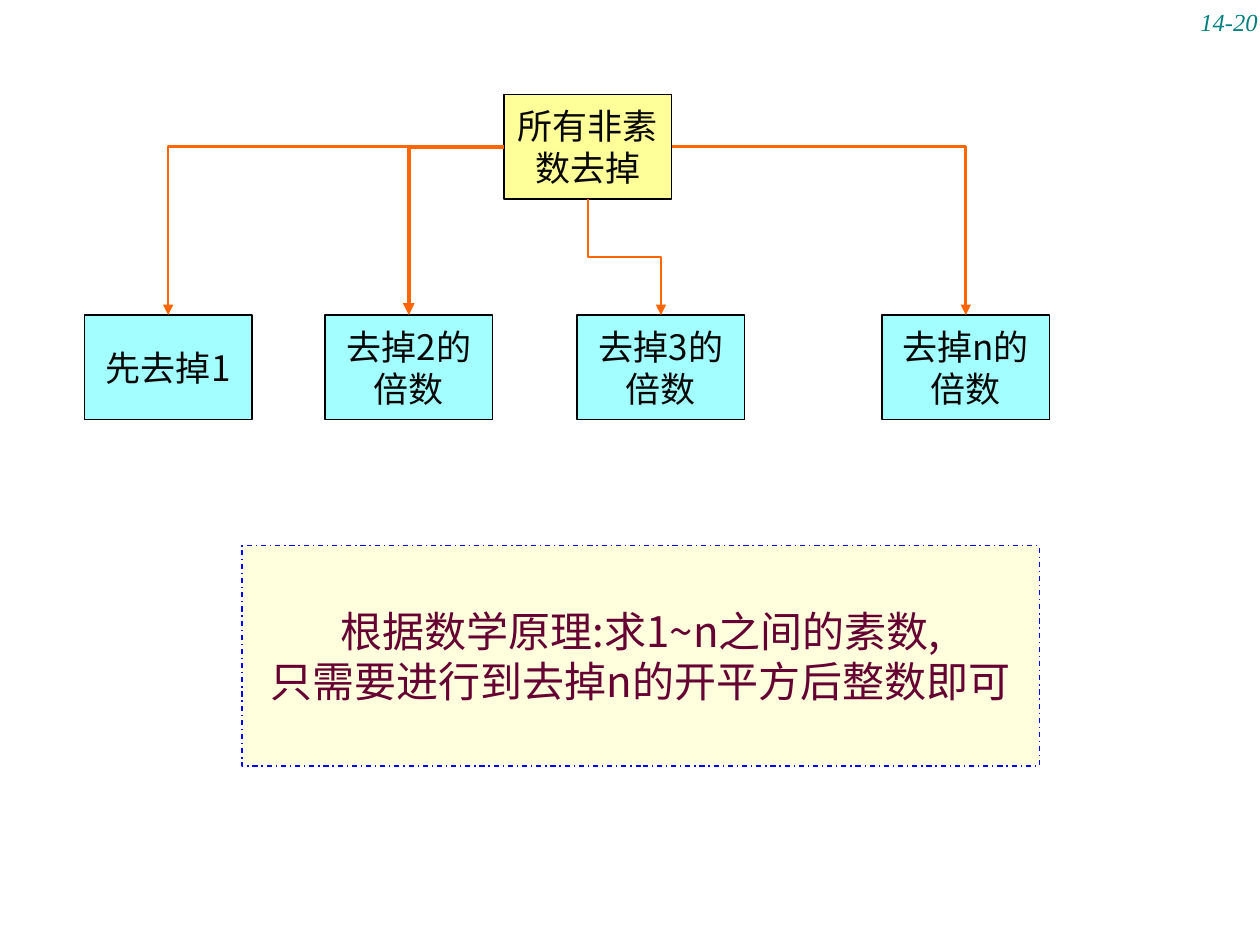
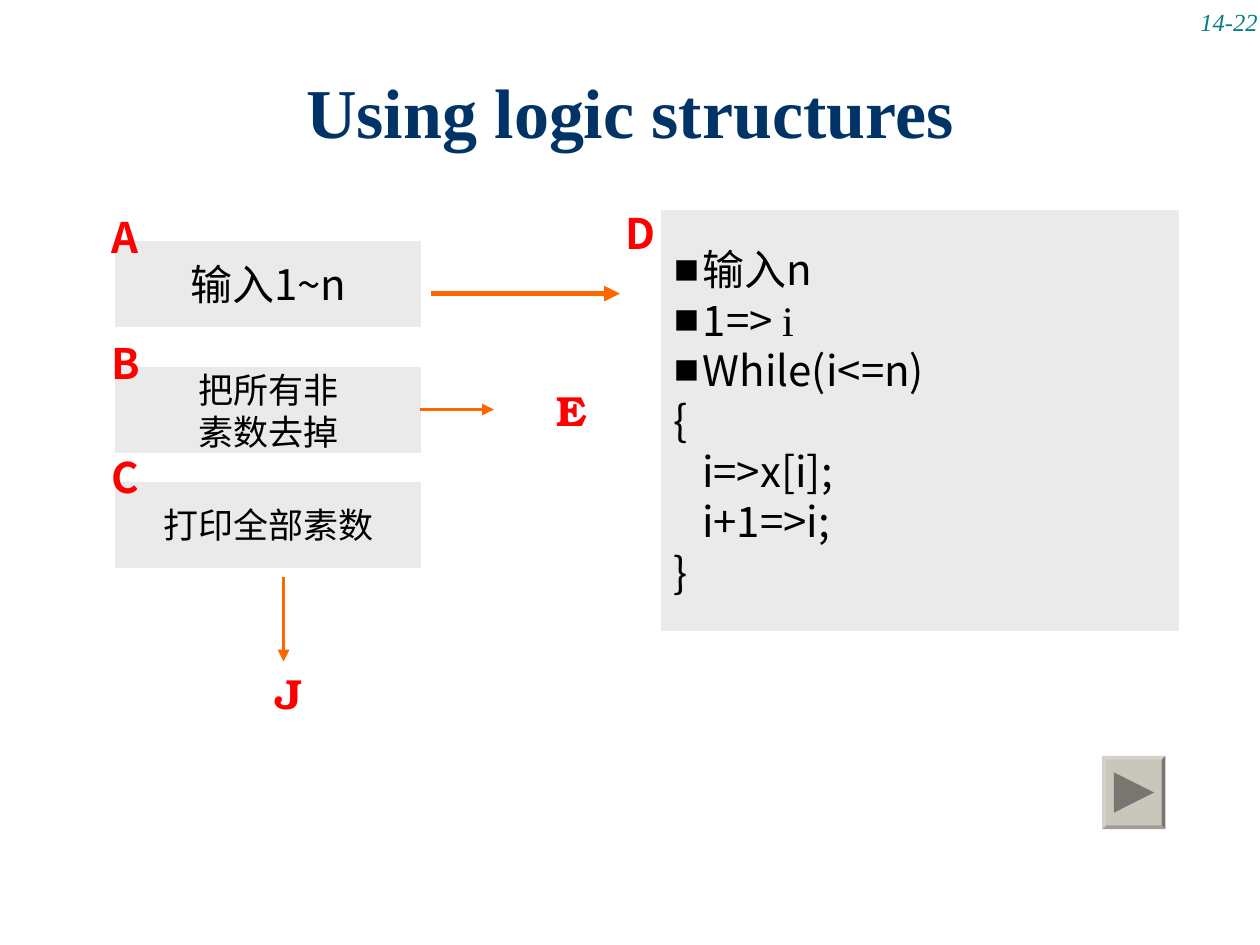
import pptx
import pptx.util
import pptx.dml.color
import pptx.enum.dml
import pptx.enum.shapes
import pptx.enum.text
import pptx.oxml
import pptx.oxml.ns
from lxml import etree

Inches = pptx.util.Inches
Pt = pptx.util.Pt
qn = pptx.oxml.ns.qn
ALIGN = pptx.enum.text.PP_ALIGN
ANCHOR = pptx.enum.text.MSO_ANCHOR
CONNECTOR = pptx.enum.shapes.MSO_CONNECTOR

COLORS = {
    "page": "008080", "title": "003366", "ink": "080808", "black": "000000",
    "root": "FFFF99", "branch": "A3FFFF", "arrow": "FF6600", "label": "FF0000",
    "note": "FFFFDD", "note_edge": "0000FF", "note_ink": "660033", "panel": "EAEAEA",
    "face": "C9C6BB", "light": "D4D1C9", "shade": "A19E96", "dark": "787670",
}
SANS, LABEL, SERIF, BOOK = (
    "Noto Sans CJK SC", "Noto Sans CJK JP", "Times New Roman", "TeX Gyre Bonum")


def rgb(name):
    return pptx.dml.color.RGBColor.from_string(COLORS[name])


def style_font(font, size, color, name, bold=False, italic=False):
    font.size = Pt(size)
    font.bold = bold
    font.italic = italic
    font.color.rgb = rgb(color)
    font.name = name


def style_paragraph(paragraph, size, color, name, align=ALIGN.CENTER, **emphasis):
    paragraph.alignment = align
    style_font(paragraph.font, size, color, name, **emphasis)
    defaults = paragraph._p.pPr.find(qn("a:defRPr"))
    etree.SubElement(defaults, qn("a:ea")).set("typeface", name)


def write(frame, text, size, color, name, align=ALIGN.CENTER, anchor=ANCHOR.MIDDLE,
          wrap=False, **emphasis):
    frame.word_wrap = wrap
    frame.vertical_anchor = anchor
    lines = text.split("\n")
    for index, line in enumerate(lines):
        paragraph = frame.paragraphs[0] if index == 0 else frame.add_paragraph()
        paragraph.add_run().text = line
        if len(lines) > 1:
            paragraph.line_spacing = Pt(size * 1.2)
        style_paragraph(paragraph, size, color, name, align, **emphasis)


def add_text(slide, box, *args, **options):
    text_box = slide.shapes.add_textbox(*map(Inches, box))
    write(text_box.text_frame, *args, **options)


def add_box(slide, box, fill, edge):
    shape = slide.shapes.add_shape(
        pptx.enum.shapes.MSO_SHAPE.RECTANGLE, *map(Inches, box))
    shape.shadow.inherit = False
    shape.fill.solid()
    shape.fill.fore_color.rgb = rgb(fill)
    shape.line.color.rgb = rgb(edge)
    shape.line.width = Pt(0.75)
    return shape


def add_arrow(slide, kind, start, end, width):
    arrow = slide.shapes.add_connector(kind, *start, *end)
    arrow.line.color.rgb = rgb("arrow")
    arrow.line.width = Pt(width)
    line = arrow.line._get_or_add_ln()
    etree.SubElement(line, qn("a:tailEnd")).set("type", "triangle")
    etree.SubElement(arrow._element.spPr, qn("a:effectLst"))
    return arrow


def add_straight_arrow(slide, start, end, width):
    add_arrow(slide, CONNECTOR.STRAIGHT, tuple(map(Inches, start)),
              tuple(map(Inches, end)), width)


def add_branch_arrow(slide, root, site, branch, width):
    middle = root.left + root.width // 2
    start = {
        1: (root.left, root.top + root.height // 2),
        2: (middle, root.top + root.height),
        3: (root.left + root.width, root.top + root.height // 2),
    }[site]
    end = (branch.left + branch.width // 2, branch.top)
    arrow = add_arrow(slide, CONNECTOR.ELBOW, start, end, width)
    arrow.begin_connect(root, site)
    arrow.end_connect(branch, 0)
    properties = arrow._element.spPr
    if site == 2:
        across, down = end[0] - start[0], end[1] - start[1]
        arrow.left = (start[0] + end[0] - down) // 2
        arrow.top = (start[1] + end[1] - across) // 2
        arrow.width, arrow.height = down, across
        transform = properties.find(qn("a:xfrm"))
        transform.set("rot", "16200000")
        transform.set("flipH", "1")
    else:
        properties.find(qn("a:prstGeom")).set("prst", "bentConnector2")


def add_page_number(slide, number):
    add_text(slide, (9.08, -0.08, 1, 0.42), number, 14, "page", SERIF,
             align=ALIGN.RIGHT, anchor=ANCHOR.BOTTOM, wrap=True, italic=True)


def add_title(slide, text):
    title = slide.shapes.title
    title.left, title.top, title.width, title.height = map(Inches, (0.5, 0.25, 9, 1.25))
    write(title.text_frame, text, 40, "title", SERIF, wrap=True, bold=True)


def add_sieve_tree(slide, left, top):
    size = (1.33, 0.83)
    root = add_box(slide, (left + 3.33, top, *size), "root", "black")
    write(root.text_frame, "所有非素\n数去掉", 20, "ink", SANS)
    branches = [
        (0, "先去掉1", 1, 1.5),
        (1.91, "去掉2的\n倍数", 1, 2.25),
        (3.91, "去掉3的\n倍数", 2, 1.5),
        (6.33, "去掉n的\n倍数", 3, 1.5),
    ]
    for offset, text, site, width in branches:
        branch = add_box(slide, (left + offset, top + 1.75, *size), "branch", "black")
        write(branch.text_frame, text, 20, "ink", SANS)
        add_branch_arrow(slide, root, site, branch, width)


def add_principle(slide, box):
    note = add_box(slide, box, "note", "note_edge")
    note.line.dash_style = pptx.enum.dml.MSO_LINE.DASH_DOT
    write(note.text_frame, "根据数学原理:求1~n之间的素数,\n只需要进行到去掉n的开平方后整数即可",
          24, "note_ink", SANS)


def add_steps(slide, left, top):
    steps = [
        (0, "A", "输入1~n", 24),
        (1, "B", "把所有非\n素数去掉", 20),
        (1.91, "C", "打印全部素数", 20),
    ]
    for offset, letter, text, size in steps:
        step_top = top + offset
        step = add_box(slide, (left, step_top, 2.42, 0.67), "panel", "panel")
        write(step.text_frame, text, size, "black", SANS)
        add_text(slide, (left - 0.34, step_top - 0.42, 0.83, 0.75), letter,
                 24, "label", LABEL, bold=True)


def add_bullet(paragraph):
    properties = paragraph._p.get_or_add_pPr()
    properties.set("marL", str(Inches(0.23)))
    properties.set("indent", str(-Inches(0.23)))
    color = etree.SubElement(properties, qn("a:buClr"))
    etree.SubElement(color, qn("a:srgbClr")).set("val", COLORS["black"])
    etree.SubElement(properties, qn("a:buFont")).set("typeface", SERIF)
    etree.SubElement(properties, qn("a:buChar")).set("char", "■")


def add_code_panel(slide, left, top):
    panel = add_box(slide, (left, top, 4.1, 3.33), "panel", "panel")
    frame = panel.text_frame
    frame.word_wrap = True
    frame.vertical_anchor = ANCHOR.MIDDLE
    code = ["输入n", "1=> ", "While(i<=n)", "{", "   i=>x[i];", "   i+1=>i;", "}"]
    for index, line in enumerate(code):
        paragraph = frame.paragraphs[0] if index == 0 else frame.add_paragraph()
        paragraph.add_run().text = line
        paragraph.line_spacing = Pt(28.8)
        if index < 3:
            add_bullet(paragraph)
        style_paragraph(paragraph, 24, "black", SANS, ALIGN.LEFT)
    counter = frame.paragraphs[1].add_run()
    counter.text = "i"
    counter.font.name = SERIF
    add_text(slide, (left - 0.58, top + 0.08, 0.83, 0.2), "D",
             24, "label", LABEL, bold=True)


def add_next_button(slide, left, top, width, height):
    edge = 0.03
    right, bottom = left + width, top + height
    outer = [(left, top), (right, top), (right, bottom), (left, bottom)]
    inner = [(left + edge, top + edge), (right - edge, top + edge),
             (right - edge, bottom - edge), (left + edge, bottom - edge)]
    middle_x, middle_y = left + width / 2, top + height / 2
    triangle = [(middle_x - 0.16, middle_y - 0.16), (middle_x + 0.16, middle_y),
                (middle_x - 0.16, middle_y + 0.16)]
    facets = [(outer, "face")]
    for side, color in enumerate(("light", "dark", "shade", "light")):
        following = (side + 1) % 4
        facets.append(([outer[side], outer[following], inner[following], inner[side]],
                       color))
    facets.append((triangle, "dark"))
    for points, color in facets:
        start, *others = [(Inches(x), Inches(y)) for x, y in points]
        builder = slide.shapes.build_freeform(*start)
        builder.add_line_segments(others, close=True)
        facet = builder.convert_to_shape()
        facet.shadow.inherit = False
        facet.fill.solid()
        facet.fill.fore_color.rgb = rgb(color)
        facet.line.fill.background()


def build_sieve_slide(deck):
    slide = deck.slides.add_slide(deck.slide_layouts[6])
    add_page_number(slide, "14-20")
    add_sieve_tree(slide, 0.67, 0.75)
    add_principle(slide, (1.92, 4.33, 6.33, 1.75))


def build_logic_slide(deck):
    slide = deck.slides.add_slide(deck.slide_layouts[5])
    add_page_number(slide, "14-22")
    add_title(slide, "Using logic structures")
    add_steps(slide, 0.92, 1.92)
    add_code_panel(slide, 5.25, 1.67)
    add_straight_arrow(slide, (3.42, 2.33), (4.92, 2.33), 3)
    add_straight_arrow(slide, (3.33, 3.25), (3.92, 3.25), 2.25)
    add_straight_arrow(slide, (2.25, 4.58), (2.25, 5.25), 2.25)
    for letter, left, top in (("E", 4, 3), ("J", 1.75, 5.25)):
        add_text(slide, (left, top, 1.08, 0.5), letter, 24, "label", BOOK, bold=True)
    add_next_button(slide, 8.75, 6, 0.5, 0.58)


def main():
    deck = pptx.Presentation()
    deck.slide_width, deck.slide_height = Inches(10), Inches(7.5)
    build_sieve_slide(deck)
    build_logic_slide(deck)
    deck.save("out.pptx")


if __name__ == "__main__":
    main()
